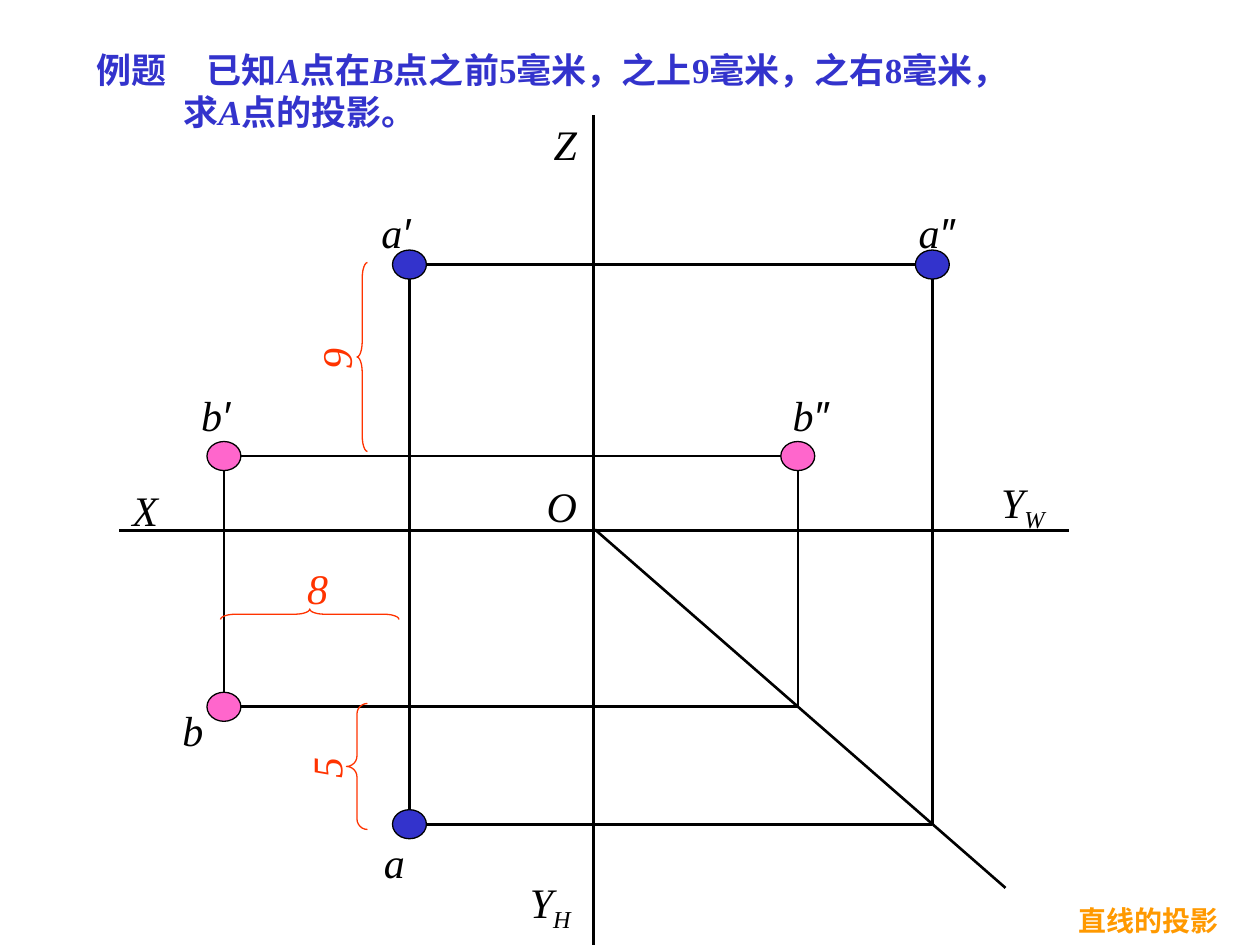
"""Build the worked example on finding the projections of point A from point B."""
from dataclasses import dataclass

from lxml import etree
from pptx import Presentation
from pptx import util as u
from pptx.dml.color import RGBColor
from pptx.enum import shapes, text
from pptx.oxml.ns import qn


@dataclass(frozen=True)
class Theme:
    """Colours, fonts and sizes of the slide."""
    ink: str = "000000"
    blue: str = "3333CC"
    pink: str = "FF66CC"
    red: str = "FF3300"
    orange: str = "FF9900"
    font: str = "Times New Roman"
    prime_font: str = "Arial"
    title_size: float = 20
    label_size: float = 24
    note_size: float = 16
    line: float = 1.5
    thin: float = 0.75
    dot: tuple = (19.4, 16.6)


class Drawing:
    """Draw styled elements on one slide, with lengths in points."""

    def __init__(self, s, theme):
        """Keep the slide and its theme."""
        self.s, self.t = s, theme

    def runs(self, p, parts, size, color, **fmt):
        """Add (text, format) runs that share a base format."""
        base = {"name": self.t.font, "size": u.Pt(size), "bold": False, "italic": False, **fmt}
        for words, extra in parts:
            r = p.add_run()
            r.text = words
            for key, value in {**base, **extra}.items():
                if key == "baseline":
                    r._r.get_or_add_rPr().set(key, str(value))
                else:
                    setattr(r.font, key, value)
            r.font.color.rgb = RGBColor.from_string(color)

    def frame(self, tf, **fmt):
        """Set the text frame properties."""
        base = {"word_wrap": True, "auto_size": text.MSO_AUTO_SIZE.NONE,
                "margin_left": u.Pt(7.2), "margin_right": u.Pt(7.2),
                "margin_top": u.Pt(3.6), "margin_bottom": u.Pt(3.6)}
        for key, value in {**base, **fmt}.items():
            setattr(tf, key, value)

    def title(self, box, paragraphs):
        """Fill the title with (margin, indent, tab, runs) paragraphs."""
        sp = self.s.shapes.title
        for key, value in zip(("left", "top", "width", "height"), box):
            setattr(sp, key, u.Pt(value))
        tf = sp.text_frame
        self.frame(tf, vertical_anchor=text.MSO_ANCHOR.TOP)
        for i, (margin, indent, tab, parts) in enumerate(paragraphs):
            p = tf.add_paragraph() if i else tf.paragraphs[0]
            p.alignment = text.PP_ALIGN.LEFT
            pPr = p._p.get_or_add_pPr()
            pPr.set("marL", str(u.Pt(margin)))
            pPr.set("indent", str(u.Pt(indent)))
            if tab:
                tabs = etree.SubElement(pPr, qn("a:tabLst"))
                etree.SubElement(tabs, qn("a:tab"), pos=str(u.Pt(tab)), algn="l")
            self.runs(p, parts, self.t.title_size, self.t.blue, bold=True)

    def label(self, box, parts, color=None, rotation=0, wrap=False):
        """Add a centred italic label."""
        sp = self.s.shapes.add_textbox(*map(u.Pt, box))
        sp.rotation = rotation
        self.frame(sp.text_frame, word_wrap=wrap, vertical_anchor=text.MSO_ANCHOR.MIDDLE)
        p = sp.text_frame.paragraphs[0]
        p.alignment = text.PP_ALIGN.CENTER
        self.runs(p, parts, self.t.label_size, color or self.t.ink, italic=True)

    def note(self, box, words):
        """Add the section name in the corner."""
        sp = self.s.shapes.add_textbox(*map(u.Pt, box))
        self.frame(sp.text_frame, word_wrap=False)
        self.runs(sp.text_frame.paragraphs[0], [(words, {})],
                  self.t.note_size, self.t.orange, bold=True)

    def line(self, *ends):
        """Add a straight line from x1, y1 to x2, y2."""
        c = self.s.shapes.add_connector(shapes.MSO_CONNECTOR.STRAIGHT, *map(u.Pt, ends))
        c.line.width = u.Pt(self.t.line)
        c.line.color.rgb = RGBColor.from_string(self.t.ink)
        etree.SubElement(c._element.spPr, qn("a:effectLst"))

    def shape(self, kind, box, line, fill=None):
        """Add a preset shape with a thin outline."""
        sp = self.s.shapes.add_shape(kind, *map(u.Pt, box))
        sp.shadow.inherit = False
        if fill:
            sp.fill.solid()
            sp.fill.fore_color.rgb = RGBColor.from_string(fill)
        else:
            sp.fill.background()
        sp.line.width = u.Pt(self.t.thin)
        sp.line.color.rgb = RGBColor.from_string(line)
        return sp

    def projections(self, left, top, right, bottom, color):
        """Add the projection rectangle and its three projected points."""
        for ends in ((left, top, right, top), (left, bottom, right, bottom),
                     (left, top, left, bottom), (right, top, right, bottom)):
            self.line(*ends)
        w, h = self.t.dot
        for x, y in ((left, top), (right, top), (left, bottom)):
            self.shape(shapes.MSO_SHAPE.OVAL, (x - w / 2, y - h / 2, w, h), self.t.ink, color)

    def distance(self, value, label_box, brace_box, curve, label_turn, brace_turn):
        """Add a brace and its distance."""
        self.label(label_box, [(value, {})], self.t.red, label_turn)
        sp = self.shape(shapes.MSO_SHAPE.LEFT_BRACE, brace_box, self.t.red)
        sp.adjustments[0] = curve
        sp.rotation = brace_turn


def main():
    """Build and save the slide."""
    prs = Presentation()
    prs.slide_width, prs.slide_height = u.Pt(720), u.Pt(540)
    t = Theme()
    d = Drawing(prs.slides.add_slide(prs.slide_layouts[5]), t)

    plain, italic = {}, {"italic": True}
    d.title((48, 24, 552, 42), [
        (27, -27, 58.5, [("例题\t已知", plain), ("A", italic), ("点在", plain), ("B", italic),
                         ("点之前5毫米，之上9毫米，之右8毫米，", plain)]),
        (49.5, 0, None, [("求", plain), ("A", italic), ("点的投影。", plain)])])

    d.projections(234, 151.2, 532.8, 471, t.blue)
    d.projections(128, 260.6, 455.9, 403.9, t.pink)
    d.line(340, 302.6, 574.6, 507.4)
    d.line(610.6, 303, 68, 303)
    d.line(339.3, 540, 339.3, 66)

    prime = {"name": t.prime_font}
    for box, name, mark in (((209.5, 114.5, 40, 36), "a", "′ "),
                            ((517, 114.5, 43, 36), "a", "″ "),
                            ((106.5, 219, 40, 36), "b", "′ "),
                            ((425, 219, 83, 36), "b", "″ ")):
        d.label(box, [(name, {}), (mark, prime)])
    for box, name in (((212.4, 474.5, 26, 36), "a"), ((97.2, 399, 26, 36), "b"),
                      ((65, 273, 36, 36), "X"), ((305, 64, 36, 36), "Z"),
                      ((305, 271, 32, 36), "O")):
        d.label(box, [(name, {})])
    for box, plane in (((551, 268.5, 67, 40), "W"), ((281, 497, 67, 40), "H")):
        d.label(box, [("Y", {}), (plane, {"baseline": -25000})], wrap=True)

    d.distance("9", (178.5, 187, 26, 36), (204, 150, 6, 108), 1.5, 270, 0)
    d.distance("8", (168.5, 318, 26, 36), (174, 300, 6, 102), 1.42, 0, 90)
    d.distance("5", (173, 421, 26, 36), (198, 402, 12, 72), 0.5, 270, 0)
    d.note((609.5, 513, 94.5, 27), "直线的投影")
    prs.save("out.pptx")


if __name__ == "__main__":
    main()
